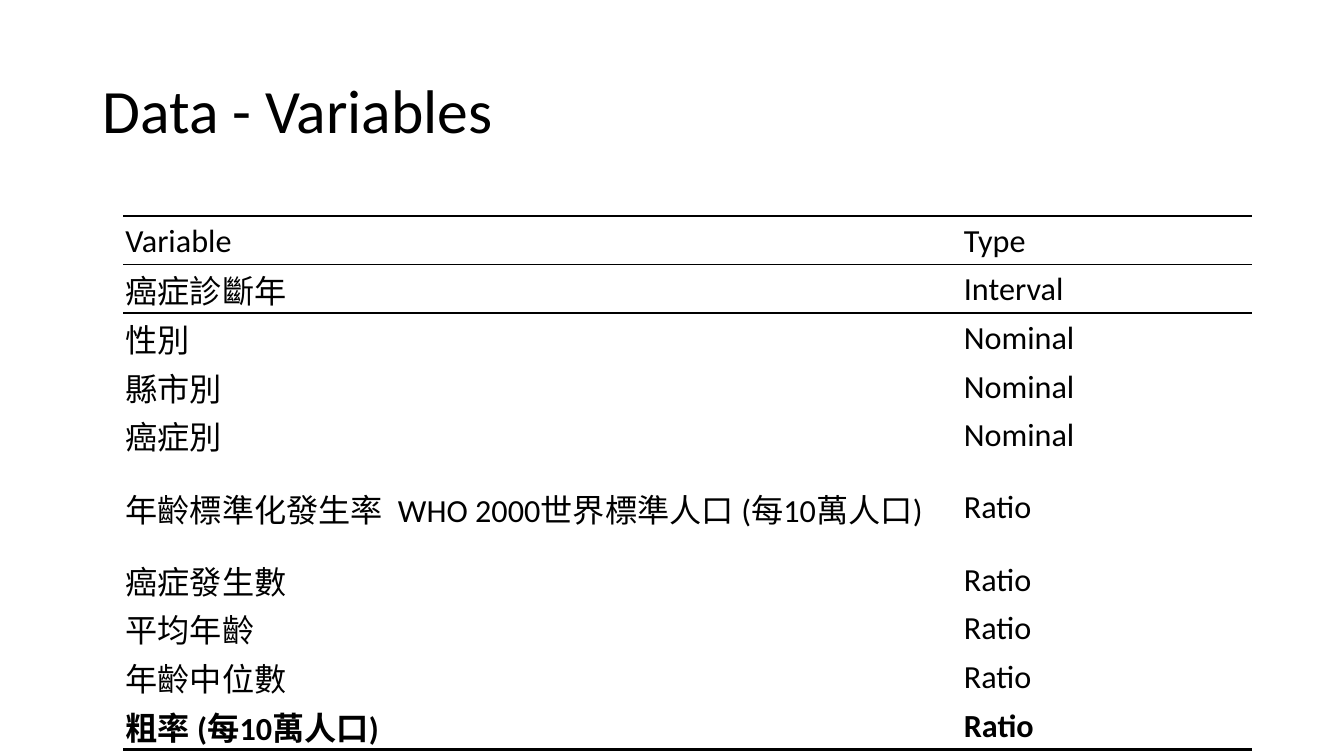
import dataclasses
import lxml.etree
import pptx
import pptx.dml.color
import pptx.enum.text
import pptx.oxml.ns
import pptx.util

Cm = pptx.util.Cm
Pt = pptx.util.Pt


@dataclasses.dataclass
class Theme:
    font: str = "Calibri"
    ink: str = "000000"
    paper: str = "FFFFFF"
    title: int = 44
    cell: int = 23
    thick: int = 2
    thin: int = 1


class Deck:
    def __init__(self, theme):
        self.theme = theme
        self.file = pptx.Presentation()
        self.file.slide_width = Cm(33.87)
        self.file.slide_height = Cm(19.05)
        self.slide = self.file.slides.add_slide(self.file.slide_layouts[5])

    def style(self, frame, size, bold=False):
        frame.vertical_anchor = pptx.enum.text.MSO_ANCHOR.MIDDLE
        for para in frame.paragraphs:
            para.alignment = pptx.enum.text.PP_ALIGN.LEFT
            for run in para.runs:
                run.font.name = self.theme.font
                run.font.size = Pt(size)
                run.font.bold = bold
                run.font.color.rgb = pptx.dml.color.RGBColor.from_string(self.theme.ink)

    def title(self, text, left, top, width, height):
        shape = self.slide.shapes.title
        shape.left, shape.top = Cm(left), Cm(top)
        shape.width, shape.height = Cm(width), Cm(height)
        shape.text_frame.text = text
        shape.text_frame.paragraphs[0].line_spacing = 0.9
        self.style(shape.text_frame, self.theme.title)

    def border(self, cell, side, width):
        qn = pptx.oxml.ns.qn
        props = cell._tc.get_or_add_tcPr()
        line = lxml.etree.SubElement(props, qn("a:ln" + side), w=str(Pt(width)))
        if width:
            fill = lxml.etree.SubElement(line, qn("a:solidFill"))
            lxml.etree.SubElement(fill, qn("a:srgbClr"), val=self.theme.ink)
        else:
            lxml.etree.SubElement(line, qn("a:noFill"))

    def table(self, rows, rules, left, top, widths, height):
        frame = self.slide.shapes.add_table(
            len(rows), len(widths), Cm(left), Cm(top),
            Cm(sum(widths)), Cm(height * len(rows)))
        table = frame.table
        table.first_row = table.horz_banding = False
        for col, width in zip(table.columns, widths):
            col.width = Cm(width)
        for i, row in enumerate(rows):
            table.rows[i].height = Cm(height)
            for j, text in enumerate(row):
                self.cell(table.cell(i, j), text, rules.get(i, 0),
                          rules.get(i + 1, 0), i == len(rows) - 1)

    def cell(self, cell, text, above, below, bold):
        cell.margin_left = cell.margin_right = cell.margin_top = Cm(0.05)
        cell.margin_bottom = 0
        for side, width in zip("LRTB", (0, 0, above, below)):
            self.border(cell, side, width)
        cell.fill.solid()
        cell.fill.fore_color.rgb = pptx.dml.color.RGBColor.from_string(self.theme.paper)
        cell.text_frame.text = text
        self.style(cell.text_frame, self.theme.cell, bold)
        cell.vertical_anchor = pptx.enum.text.MSO_ANCHOR.MIDDLE


def main():
    theme = Theme()
    deck = Deck(theme)
    deck.title("Data - Variables", 2.33, 1.01, 29.21, 3.68)
    rows = [
        ("Variable", "Type"),
        ("癌症診斷年", "Interval"),
        ("性別", "Nominal"),
        ("縣市別", "Nominal"),
        ("癌症別", "Nominal"),
        ("年齡標準化發生率  WHO 2000世界標準人口 (每10萬人口)", "Ratio"),
        ("癌症發生數", "Ratio"),
        ("平均年齡", "Ratio"),
        ("年齡中位數", "Ratio"),
        ("粗率 (每10萬人口)", "Ratio"),
    ]
    rules = {0: theme.thick, 1: theme.thin, 2: theme.thin, len(rows): theme.thick}
    deck.table(rows, rules, 3.11, 5.44, (21.13, 7.31), 1.22)
    deck.file.save("out.pptx")


if __name__ == "__main__":
    main()
